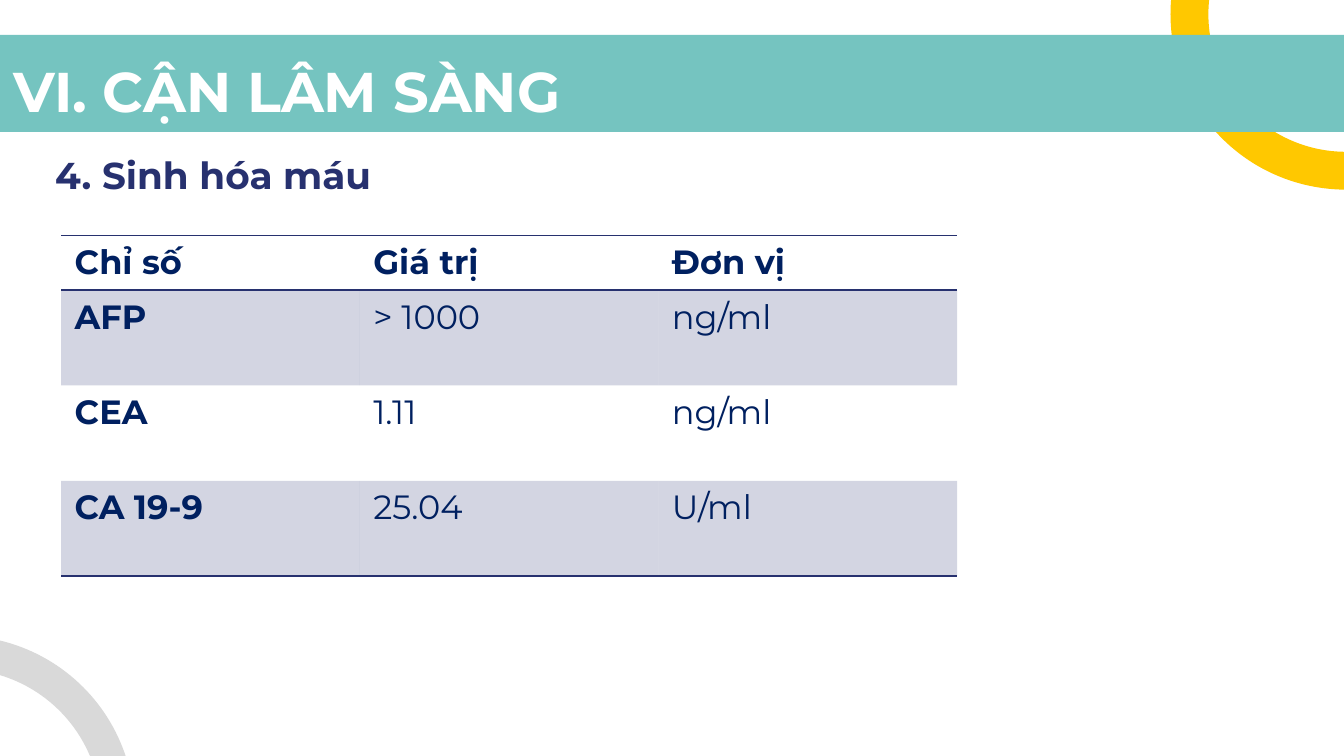
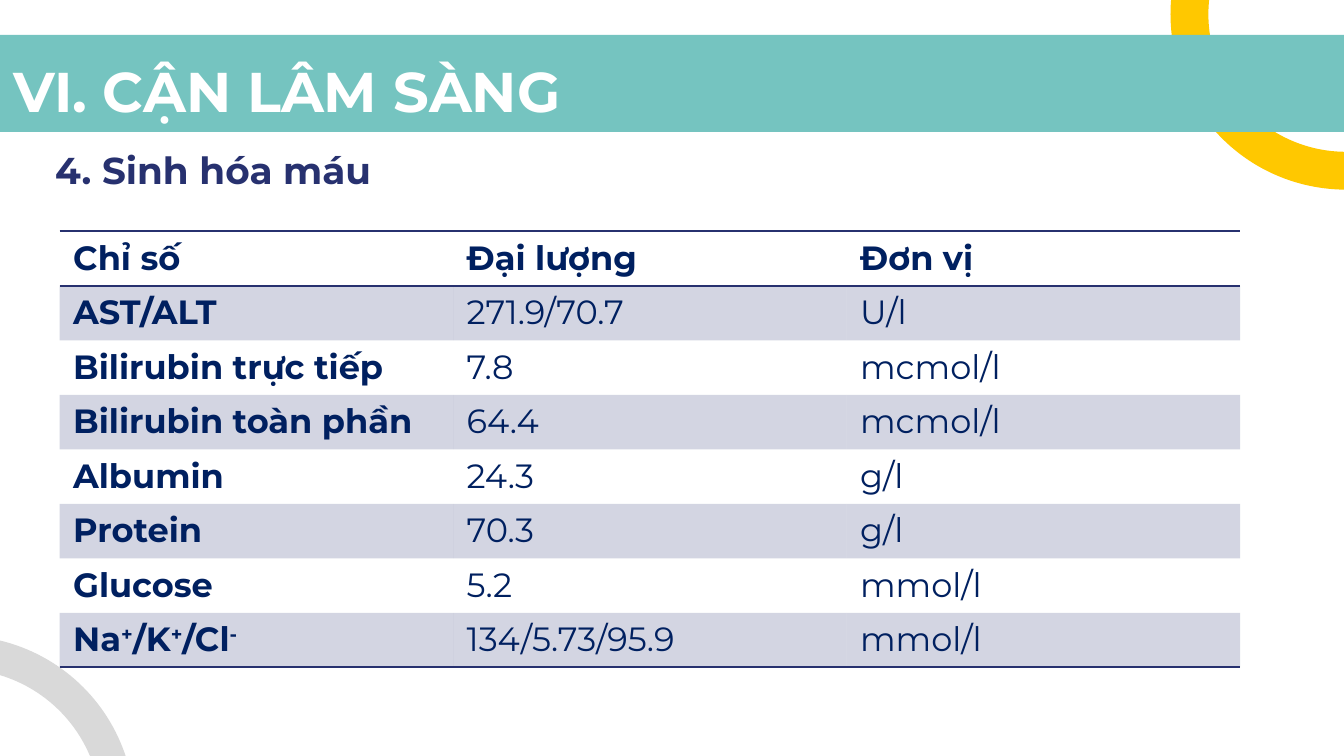
from dataclasses import dataclass

from lxml.etree import SubElement
from pptx import Presentation
from pptx.dml.color import RGBColor
from pptx.enum.shapes import MSO_SHAPE
from pptx.enum.text import MSO_ANCHOR
from pptx.oxml import parse_xml
from pptx.oxml.ns import nsdecls, qn
from pptx.util import Pt

TITLE = "VI. CẬN LÂM SÀNG"
SUBTITLE = "4. Sinh hóa máu"

# In a cell given as a tuple, every second part is superscript.
SLIDES = [
    {
        "subtitle_top": 70.5,
        "table_at": (32.8, 126.2),
        "column_width": 160,
        "row_height": 51.1,
        "rows": [
            ("Chỉ số", "Giá trị", "Đơn vị"),
            ("AFP", "> 1000", "ng/ml"),
            ("CEA", "1.11", "ng/ml"),
            ("CA 19-9", "25.04", "U/ml"),
        ],
    },
    {
        "subtitle_top": 67.8,
        "table_at": (32, 123.9),
        "column_width": 210.8,
        "row_height": 29.2,
        "rows": [
            ("Chỉ số", "Đại lượng", "Đơn vị"),
            ("AST/ALT", "271.9/70.7", "U/l"),
            ("Bilirubin trực tiếp", "7.8", "mcmol/l"),
            ("Bilirubin toàn phần", "64.4", "mcmol/l"),
            ("Albumin", "24.3", "g/l"),
            ("Protein", "70.3", "g/l"),
            ("Glucose", "5.2", "mmol/l"),
            (("Na", "+", "/K", "+", "/Cl", "-"), "134/5.73/95.9", "mmol/l"),
        ],
    },
]


@dataclass(frozen=True)
class Theme:
    font: str = "Montserrat"
    white: str = "FFFFFF"
    teal: str = "75C4C0"
    yellow: str = "FFC800"
    grey: str = "D9D9D9"
    indigo: str = "27316F"
    navy: str = "002060"
    title_size: int = 30
    subtitle_size: int = 20
    table_size: int = 18
    band_opacity: int = 20
    rule_width: int = 1


THEME = Theme()
RING_DIAMETER = 188
HEADER_HEIGHT = 29.2
NO_STYLE_NO_GRID = "{2D5ABB26-0587-4C30-8999-92F81FD0307C}"


def style_text(paragraph, size, color, bold=True):
    paragraph.font.name = THEME.font
    paragraph.font.size = Pt(size)
    paragraph.font.bold = bold
    paragraph.font.color.rgb = RGBColor.from_string(color)


def add_solid(slide, preset, box, color):
    solid = slide.shapes.add_shape(preset, *map(Pt, box))
    solid.shadow.inherit = False
    solid.fill.solid()
    solid.fill.fore_color.rgb = RGBColor.from_string(color)
    solid.line.fill.background()
    return solid


def add_ring(slide, left, top, rotation, start, end, thickness, color):
    box = (left, top, RING_DIAMETER, RING_DIAMETER)
    ring = add_solid(slide, MSO_SHAPE.BLOCK_ARC, box, color)
    ring.rotation = rotation
    for index, value in enumerate((start, end, thickness / RING_DIAMETER)):
        ring.adjustments[index] = value


def add_heading(slide, text, box, size, color):
    frame = slide.shapes.add_textbox(*map(Pt, box)).text_frame
    frame.word_wrap = True
    frame.vertical_anchor = MSO_ANCHOR.TOP
    frame.margin_left = frame.margin_right = Pt(7.2)
    frame.margin_top = frame.margin_bottom = Pt(7.2)
    heading = frame.paragraphs[0]
    heading.text = text
    style_text(heading, size, color)
    return heading


def add_frame(slide, subtitle_top):
    """Draw what all slides share: rings, band, title and subtitle."""
    add_ring(slide, 627.1, -86.4, 270, 108.21, 165.56, 20.3, THEME.yellow)
    add_solid(slide, MSO_SHAPE.RECTANGLE, (-12.2, 18.7, 744.5, 52), THEME.teal)
    add_ring(slide, -115.9, 340.6, 345, 175.07, 215.56, 17.9, THEME.grey)
    add_heading(slide, TITLE, (0, 23, 609, 45.4), THEME.title_size, THEME.white)
    subtitle = add_heading(slide, SUBTITLE, (22.5, subtitle_top, 674.6, 314.6),
                           THEME.subtitle_size, THEME.indigo)
    subtitle.line_spacing = 1.15


def fill_cell(cell, banded):
    if not banded:
        cell.fill.background()
        return
    cell.fill.solid()
    cell.fill.fore_color.rgb = RGBColor.from_string(THEME.indigo)
    color = cell._tc.tcPr.find(f"{qn('a:solidFill')}/{qn('a:srgbClr')}")
    SubElement(color, qn("a:alpha"), val=str(THEME.band_opacity * 1000))


def rule_cell(cell, sides):
    """Draw borders on the given sides, listed in schema order."""
    for position, side in enumerate(sides):
        cell._tc.get_or_add_tcPr().insert(position, parse_xml(
            f'<a:{side} {nsdecls("a")} w="{Pt(THEME.rule_width)}"><a:solidFill>'
            f'<a:srgbClr val="{THEME.indigo}"/></a:solidFill></a:{side}>'))


def write_cell(cell, content, bold):
    paragraph = cell.text_frame.paragraphs[0]
    style_text(paragraph, THEME.table_size, THEME.navy, bold)
    parts = (content,) if isinstance(content, str) else content
    for index, part in enumerate(parts):
        run = paragraph.add_run()
        run.text = part
        if index % 2:
            run.font._element.set("baseline", "30000")


def add_results(slide, table_at, column_width, row_height, rows):
    left, top = table_at
    last = len(rows) - 1
    column_count = len(rows[0])
    results = slide.shapes.add_table(
        len(rows), column_count, Pt(left), Pt(top),
        Pt(column_width * column_count),
        Pt(HEADER_HEIGHT + row_height * last)).table
    results.first_row = results.horz_banding = False
    results._tbl.tblPr.find(qn("a:tableStyleId")).text = NO_STYLE_NO_GRID
    for column in results.columns:
        column.width = Pt(column_width)
    for r, values in enumerate(rows):
        results.rows[r].height = Pt(row_height if r else HEADER_HEIGHT)
        sides = {0: ("lnT", "lnB"), last: ("lnB",)}.get(r, ())
        for c, value in enumerate(values):
            cell = results.cell(r, c)
            write_cell(cell, value, bold=r == 0 or c == 0)
            fill_cell(cell, banded=r % 2 == 1)
            rule_cell(cell, sides)


def main():
    deck = Presentation()
    deck.slide_width, deck.slide_height = Pt(720), Pt(405)
    for content in SLIDES:
        slide = deck.slides.add_slide(deck.slide_layouts[6])
        add_frame(slide, content["subtitle_top"])
        add_results(slide, content["table_at"], content["column_width"],
                    content["row_height"], content["rows"])
    deck.save("out.pptx")


if __name__ == "__main__":
    main()
